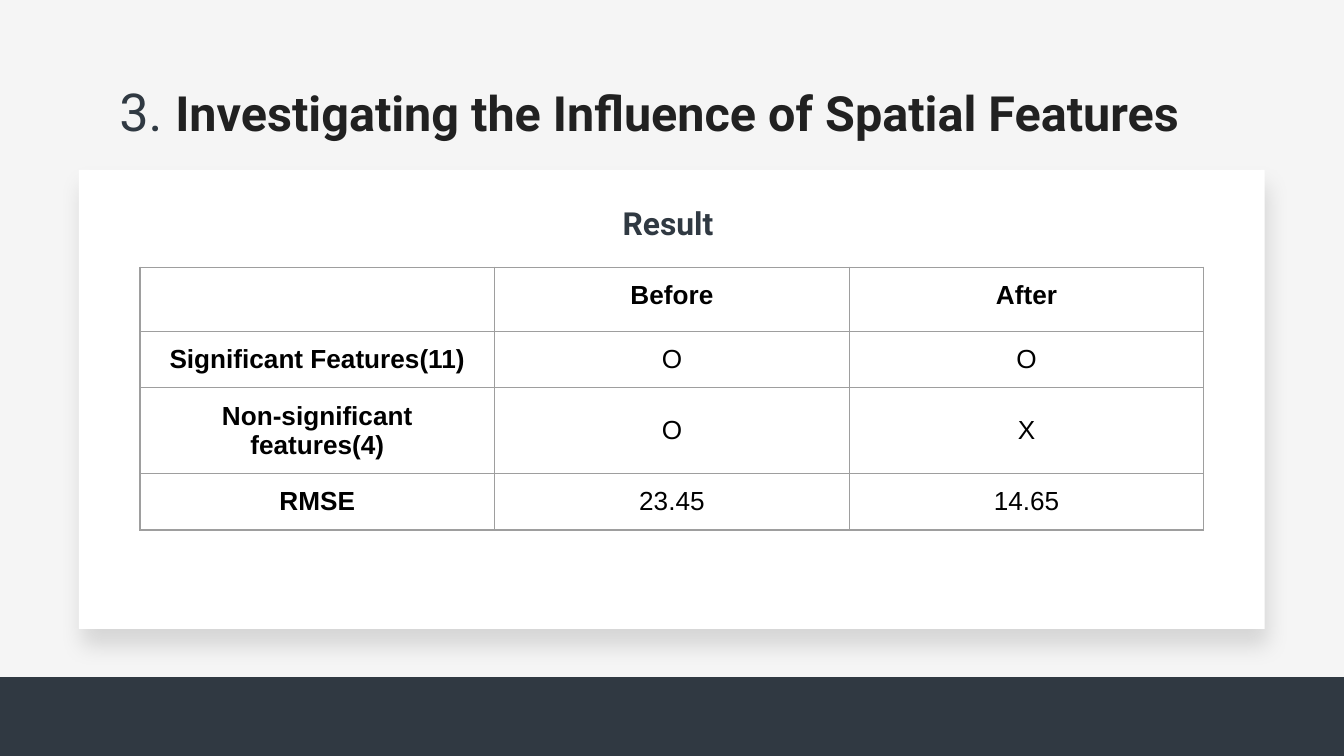
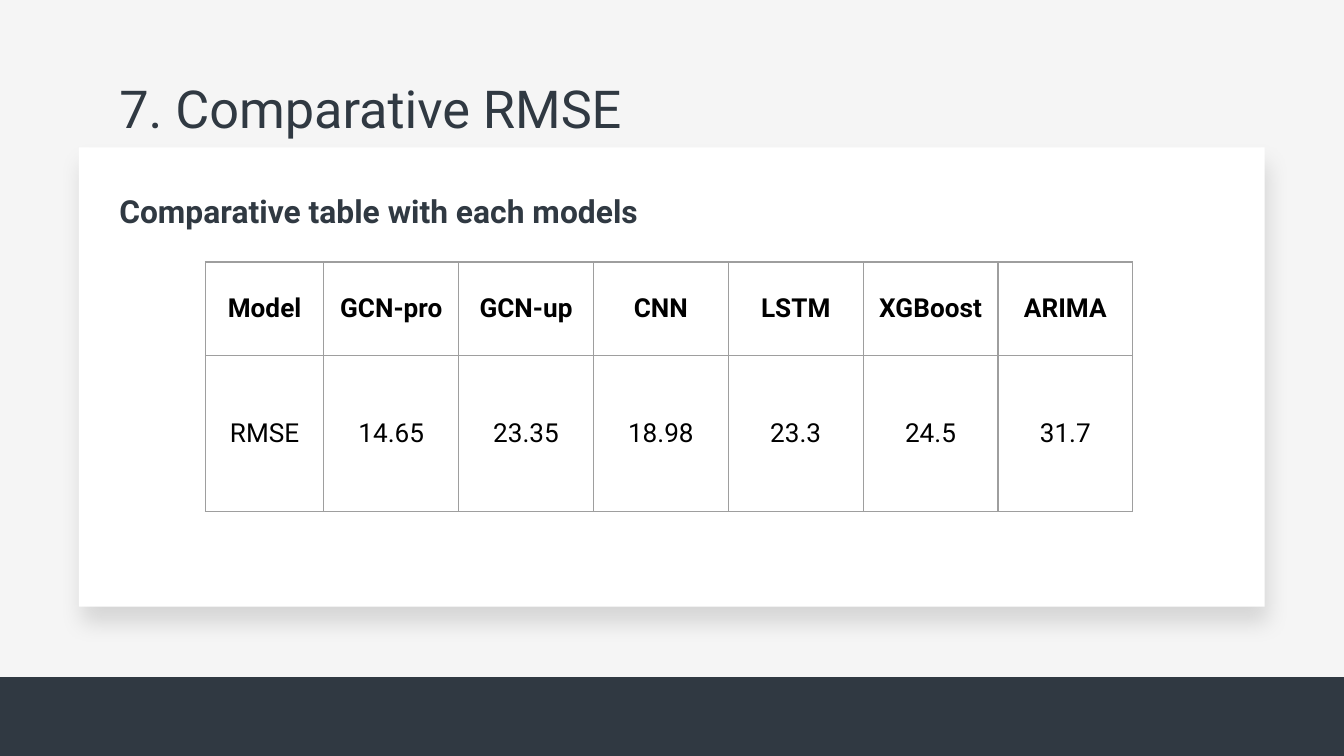
from dataclasses import dataclass

from lxml import etree
from pptx import Presentation
from pptx.dml.color import RGBColor
from pptx.enum.shapes import MSO_SHAPE
from pptx.enum.text import MSO_ANCHOR, MSO_AUTO_SIZE, PP_ALIGN
from pptx.oxml import parse_xml
from pptx.oxml.ns import nsdecls, qn
from pptx.util import Pt

TOP, MIDDLE, BOTTOM = MSO_ANCHOR.TOP, MSO_ANCHOR.MIDDLE, MSO_ANCHOR.BOTTOM
LEFT, CENTER = PP_ALIGN.LEFT, PP_ALIGN.CENTER
RECTANGLE, BAND_SHAPE = MSO_SHAPE.RECTANGLE, MSO_SHAPE.SNIP_2_DIAG_RECTANGLE
TITLE_SLIDE, TITLE_ONLY = 0, 5


@dataclass(frozen=True)
class Theme:
    page: str = "F5F5F5"
    card: str = "FFFFFF"
    dark: str = "303942"
    strong: str = "212121"
    cell: str = "000000"
    border: str = "9E9E9E"
    font: str = "Roboto"
    table_font: str = "Arial"
    title: int = 28
    long_title: int = 26
    heading: int = 17
    table: int = 14
    inset: float = 7.2


THEME = Theme()

# Content: title runs are (text, size, colour, bold); boxes are in points
SLIDES = [
    {
        "layout": TITLE_ONLY,
        "title": [
            ("3. ", THEME.title, THEME.dark, False),
            ("Investigating the Influence of Spatial Features",
             THEME.long_title, THEME.strong, True),
        ],
        "title_top": 35.2,
        "card_top": 91,
        "heading": "Result ",
        "heading_box": (242, 101.6, 236, 35.3),
        "heading_align": CENTER,
        "heading_anchor": MIDDLE,
        "table": [
            ["", "Before", "After"],
            ["Significant Features(11)", "O", "O"],
            ["Non-significant features(4)", "O", "X"],
            ["RMSE", "23.45", "14.65"],
        ],
        "table_at": (75, 143.2),
        "columns": [190] * 3,
        "rows": [34.3, 30.3, 45.8, 30.3],
        "anchors": [TOP, TOP, MIDDLE, TOP],
        "bold_labels": True,
        "table_font": THEME.table_font,
    },
    {
        "layout": TITLE_SLIDE,
        "title": [("7. Comparative RMSE", THEME.title, THEME.dark, False)],
        "title_top": 33.8,
        "card_top": 79,
        "heading": "Comparative table with each models",
        "heading_box": (56.7, 88.6, 357, 41.8),
        "heading_align": LEFT,
        "heading_anchor": BOTTOM,
        "table": [
            ["Model", "GCN-pro", "GCN-up", "CNN", "LSTM", "XGBoost", "ARIMA"],
            ["RMSE", "14.65", "23.35", "18.98", "23.3", "24.5", "31.7"],
        ],
        "table_at": (110, 140.4),
        "columns": [63.5] + [72.25] * 6,
        "rows": [50, 83.7],
        "anchors": [MIDDLE, MIDDLE],
        "bold_labels": False,
        "table_font": THEME.font,
    },
]


def points(*lengths):
    return [Pt(length) for length in lengths]


def set_paragraph(paragraph, runs, font, align):
    paragraph.alignment = align
    paragraph.space_before = Pt(0)
    for text, size, color, bold in runs:
        run = paragraph.add_run()
        run.text = text
        run.font.name, run.font.size, run.font.bold = font, Pt(size), bold
        run.font.color.rgb = RGBColor.from_string(color)


def fill_text(shape, box, runs, align, anchor):
    shape.left, shape.top, shape.width, shape.height = points(*box)
    frame = shape.text_frame
    frame.word_wrap = True
    frame.auto_size = MSO_AUTO_SIZE.NONE
    frame.vertical_anchor = anchor
    frame.margin_left = frame.margin_right = Pt(THEME.inset)
    frame.margin_top = frame.margin_bottom = Pt(THEME.inset)
    set_paragraph(frame.paragraphs[0], runs, THEME.font, align)


def add_backdrop(slide, kind, box, color):
    """Add a plain filled shape behind everything else on the slide."""
    shape = slide.shapes.add_shape(kind, *points(*box))
    shape.shadow.inherit = False
    shape.fill.solid()
    shape.fill.fore_color.rgb = RGBColor.from_string(color)
    shape.line.fill.background()
    slide.shapes.element.insert(2, shape.element)
    return shape


def add_card(slide, top):
    card = add_backdrop(slide, RECTANGLE, (42.3, top, 635.3, 246), THEME.card)
    effects = card.element.spPr.find(qn("a:effectLst"))
    effects.append(parse_xml(
        f'<a:outerShdw {nsdecls("a")} blurRad="{Pt(12.4)}" dist="{Pt(9)}" '
        f'dir="{76 * 60000}" algn="bl" rotWithShape="0">'
        '<a:srgbClr val="000000"><a:alpha val="13000"/></a:srgbClr>'
        '</a:outerShdw>'))


def add_band(slide):
    band = add_backdrop(slide, BAND_SHAPE, (-2, 362.8, 726.5, 45.4), THEME.dark)
    band.adjustments[0] = band.adjustments[1] = 0


def set_borders(cell):
    properties = cell._tc.get_or_add_tcPr()
    for index, side in enumerate(("lnL", "lnR", "lnT", "lnB")):
        properties.insert(index, parse_xml(
            f'<a:{side} {nsdecls("a")} w="{Pt(0.75)}"><a:solidFill>'
            f'<a:srgbClr val="{THEME.border}"/></a:solidFill></a:{side}>'))


def add_table(slide, content):
    columns, rows = content["columns"], content["rows"]
    frame = slide.shapes.add_table(
        len(rows), len(columns),
        *points(*content["table_at"], sum(columns), sum(rows)))
    table = frame.table
    table.first_row = table.horz_banding = False
    for column, width in zip(table.columns, columns):
        column.width = Pt(width)
    for row, height in zip(table.rows, rows):
        row.height = Pt(height)
    for row_index, texts in enumerate(content["table"]):
        for column_index, text in enumerate(texts):
            cell = table.cell(row_index, column_index)
            cell.fill.background()
            set_borders(cell)
            cell.vertical_anchor = content["anchors"][row_index]
            cell.margin_left = cell.margin_right = Pt(THEME.inset)
            cell.margin_top = cell.margin_bottom = Pt(THEME.inset)
            paragraph = cell.text_frame.paragraphs[0]
            if not text:
                # An empty cell still needs its type size to keep the row height
                etree.SubElement(paragraph._p, qn("a:endParaRPr"),
                                 sz=str(THEME.table * 100))
                continue
            bold = row_index == 0 or (column_index == 0 and content["bold_labels"])
            set_paragraph(paragraph, [(text, THEME.table, THEME.cell, bold)],
                          content["table_font"], CENTER)


def build_slide(presentation, content):
    slide = presentation.slides.add_slide(
        presentation.slide_layouts[content["layout"]])
    add_card(slide, content["card_top"])
    add_band(slide)

    # Title and heading
    fill_text(slide.shapes.title, (56.7, content["title_top"], 607, 45.4),
              content["title"], LEFT, TOP)
    box = content["heading_box"]
    if content["layout"] == TITLE_SLIDE:
        heading = slide.placeholders[1]
    else:
        heading = slide.shapes.add_textbox(*points(*box))
    fill_text(heading, box,
              [(content["heading"], THEME.heading, THEME.dark, True)],
              content["heading_align"], content["heading_anchor"])

    add_table(slide, content)


def main():
    presentation = Presentation()
    presentation.slide_width, presentation.slide_height = points(720, 405)
    background = presentation.slide_master.background.fill
    background.solid()
    background.fore_color.rgb = RGBColor.from_string(THEME.page)
    for content in SLIDES:
        build_slide(presentation, content)
    presentation.save("out.pptx")


if __name__ == "__main__":
    main()
